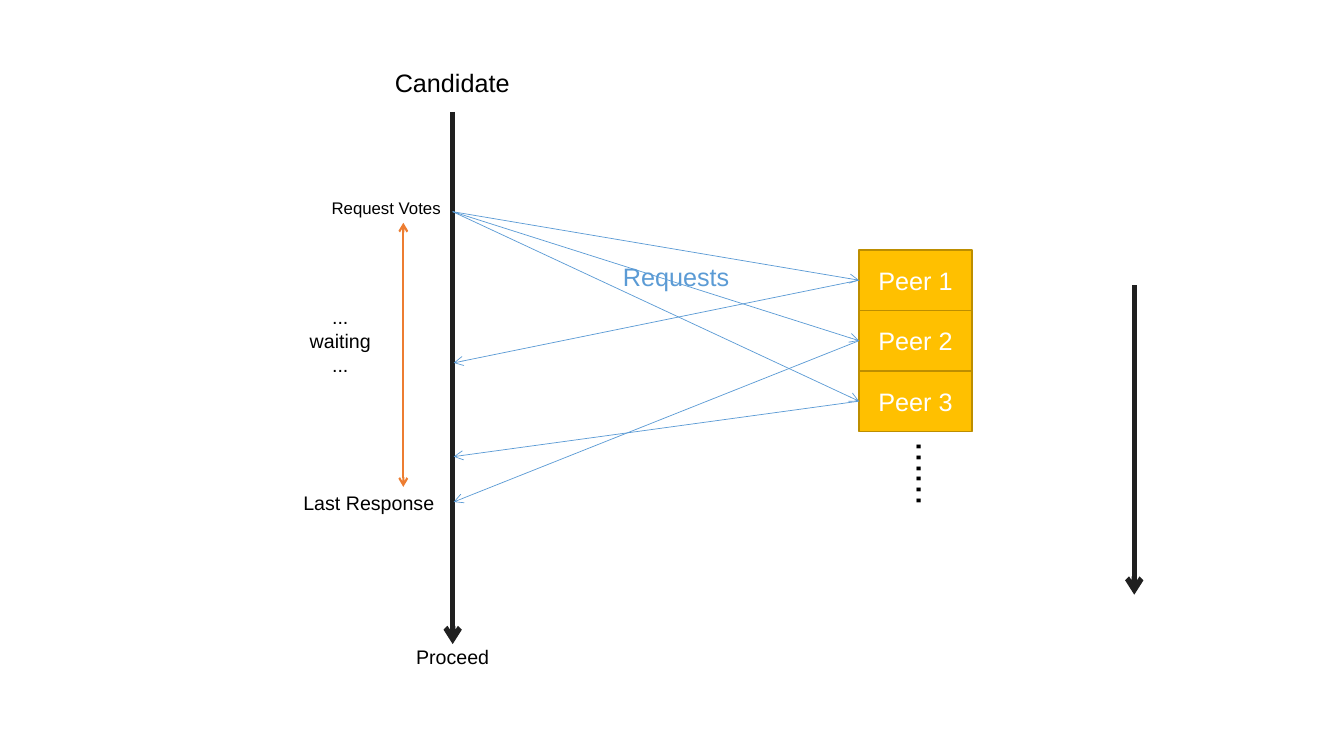
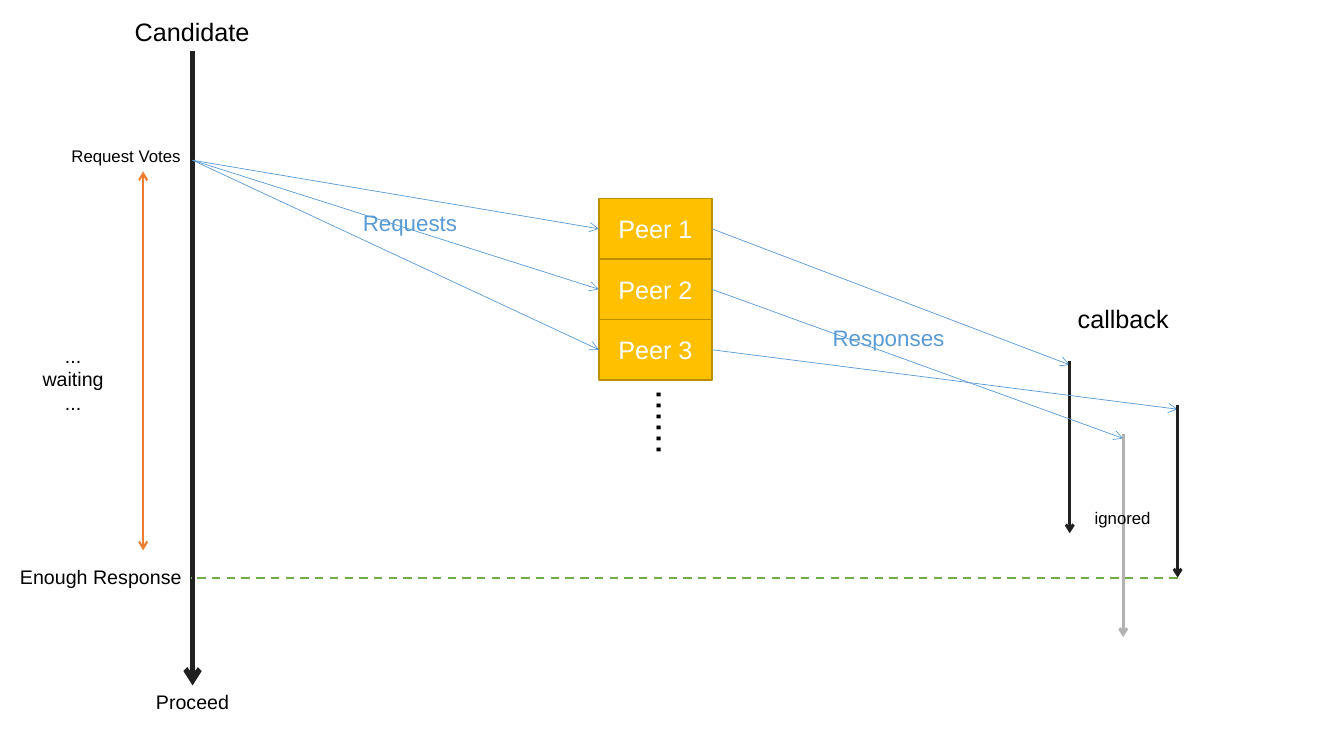
from lxml import etree
from pptx import Presentation
from pptx.dml.color import RGBColor
from pptx.enum.dml import MSO_LINE
from pptx.enum.shapes import MSO_CONNECTOR, MSO_SHAPE
from pptx.enum.text import MSO_ANCHOR, MSO_AUTO_SIZE, PP_ALIGN
from pptx.oxml.ns import qn
from pptx.util import Inches, Pt

RECT = MSO_SHAPE.RECTANGLE
STRAIGHT = MSO_CONNECTOR.STRAIGHT
DASH = MSO_LINE.DASH
MIDDLE = MSO_ANCHOR.MIDDLE
GROW = MSO_AUTO_SIZE.SHAPE_TO_FIT_TEXT
LEFT, CENTER = PP_ALIGN.LEFT, PP_ALIGN.CENTER

FONT = "Arial"
BLACK, WHITE, DARK, GRAY = "000000", "FFFFFF", "202020", "B2B2B2"
BLUE, ORANGE, GREEN = "5B9BD5", "ED7D31", "70AD47"
GOLD, BROWN = "FFC000", "BD8E00"
PEER_W, PEER_H = 1.12, 0.6


def color(code):
    """Turn a hex string into a colour."""
    return RGBColor.from_string(code)


def assign(target, values):
    """Set each named attribute on the target."""
    for name, value in values.items():
        setattr(target, name, value)


def write(frame, text, size, shade, align):
    """Fill a text frame, one paragraph for each line."""
    frame.text = text
    for para in frame.paragraphs:
        para.alignment = align
        assign(para.font, {"name": FONT, "size": Pt(size)})
        para.font.color.rgb = color(shade)


def label(slide, box, text, size, shade=BLACK, align=CENTER):
    """Add a wrapped text box and return its frame."""
    frame = slide.shapes.add_textbox(*map(Inches, box)).text_frame
    write(frame, text, size, shade, align)
    assign(frame, {"word_wrap": True, "auto_size": GROW})
    return frame


def link(slide, start, end, shade, width, heads=("tailEnd",), dash=None):
    """Draw a straight line with open arrowheads at the named ends."""
    line = slide.shapes.add_connector(STRAIGHT, *map(Inches, (*start, *end)))
    line.line.color.rgb = color(shade)
    assign(line.line, {"width": Pt(width), "dash_style": dash})
    props = line.line._get_or_add_ln()
    for head in heads:
        etree.SubElement(props, qn("a:" + head), type="arrow")
    etree.SubElement(line._element.spPr, qn("a:effectLst"))


def peers(slide, left, top):
    """Stack the peer boxes with dots below; return their middle heights."""
    for row in range(3):
        box = (left, top + row * PEER_H, PEER_W, PEER_H)
        peer = slide.shapes.add_shape(RECT, *map(Inches, box))
        peer.shadow.inherit = False
        peer.fill.solid()
        peer.fill.fore_color.rgb = color(GOLD)
        peer.line.color.rgb = color(BROWN)
        peer.line.width = Pt(1)
        write(peer.text_frame, f"Peer {row + 1}", 18, WHITE, CENTER)
        peer.text_frame.vertical_anchor = MIDDLE
    dots = label(slide, (left + 0.34, top + 3 * PEER_H, 0.67, 1.52),
                 "......", 28, align=LEFT)
    dots._txBody.bodyPr.set("vert", "eaVert")
    return [top + (row + 0.5) * PEER_H for row in range(3)]


def ballot(slide, left, top, start, end, size):
    """Draw the candidate's time line and its requests to the peers."""
    axis, side = left + 0.75, left + 4.78
    link(slide, (axis, start), (axis, end), DARK, 3.75)
    label(slide, (left, top, 1.49, 0.4), "Candidate", 18)
    rows = peers(slide, side, top + 1.86)
    for row in rows:
        link(slide, (axis, top + 1.48), (side, row), BLUE, 0.5)
    label(slide, (left - 0.55, top + 1.29, 1.62, 0.3), "Request Votes", 12,
          align=LEFT)
    label(slide, (left + 2.34, top + 1.92, 1.34, 0.4), "Requests", size,
          BLUE, LEFT)
    return axis, side, rows


def delay(slide, axis, top, end, note):
    """Mark the waiting time beside the axis, with its note box."""
    link(slide, (axis - 0.49, top), (axis - 0.49, end), ORANGE, 1.5,
         ("headEnd", "tailEnd"))
    label(slide, (*note, 1.39, 0.81), "...\nwaiting\n...", 14)


def blocking(slide):
    """Build the slide that waits for the last response."""
    axis, side, rows = ballot(slide, 3.74, 0.62, 1.11, 6.39, 18)
    delay(slide, axis, 2.21, 4.83, (2.68, 2.98))
    for row, reply in zip(rows, (3.6, 4.98, 4.53)):
        link(slide, (side, row), (axis + 0.01, reply), BLUE, 0.5)
    label(slide, (2.91, 4.82, 1.58, 0.34), "Last Response", 14, align=LEFT)
    label(slide, (3.91, 6.35, 1.16, 0.34), "Proceed", 14)
    link(slide, (11.25, 2.83), (11.25, 5.9), DARK, 3.75)


def calls(slide, left, rows):
    """Draw the responses and the callback lines they start."""
    lanes = ((10.61, 3.58, 5.29, DARK), (11.14, 4.31, 6.32, GRAY),
             (11.68, 4.02, 5.73, DARK))
    for row, (lane, start, end, shade) in zip(rows, lanes):
        link(slide, (left, row), (lane, start + 0.04), BLUE, 0.5)
        link(slide, (lane, start), (lane, end), shade, 2)
    label(slide, (8.16, 3.17, 1.34, 0.37), "Responses", 16, BLUE, LEFT)
    label(slide, (10.48, 2.96, 1.32, 0.4), "callback", 18)
    label(slide, (10.47, 4.99, 1.33, 0.3), "ignored", 12)


def async_vote(slide):
    """Build the slide that proceeds after enough responses."""
    axis, side, rows = ballot(slide, 1.16, 0.11, 0.51, 6.8, 16)
    delay(slide, axis, 1.7, 5.46, (0.03, 3.36))
    label(slide, (0.1, 5.56, 1.9, 0.34), "Enough Response", 14, align=LEFT)
    label(slide, (1.33, 6.8, 1.16, 0.34), "Proceed", 14)
    calls(slide, side + PEER_W, rows)
    link(slide, (11.68, 5.73), (1.89, 5.73), GREEN, 1.5, (), DASH)


def main():
    """Build and save the deck."""
    deck = Presentation()
    assign(deck, {"slide_width": Inches(13.33), "slide_height": Inches(7.5)})
    for build in (blocking, async_vote):
        build(deck.slides.add_slide(deck.slide_layouts[6]))
    deck.save("out.pptx")


main()
